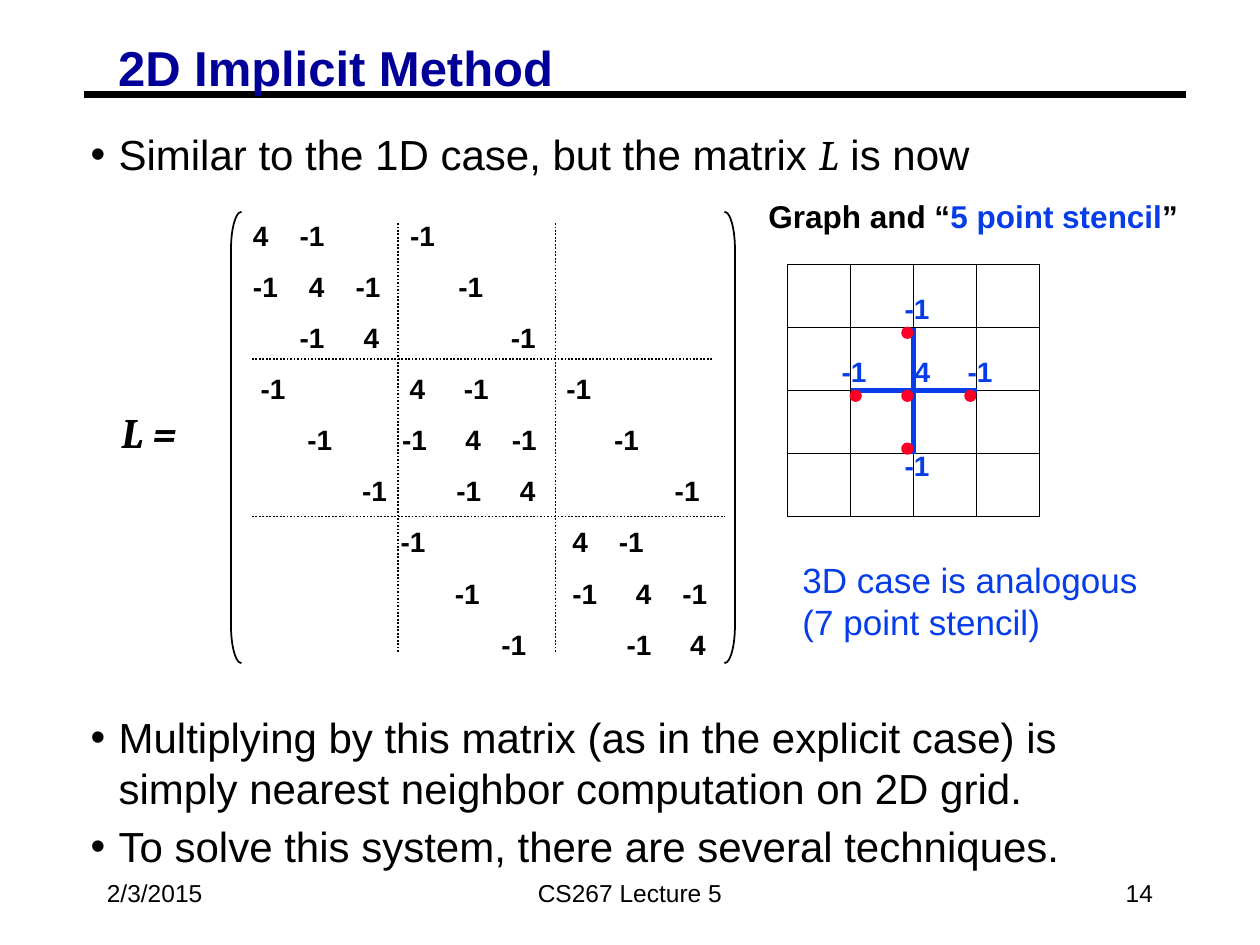
from pptx import Presentation
from pptx.dml.color import RGBColor
from pptx.enum.dml import MSO_LINE
from pptx.enum.shapes import MSO_CONNECTOR, MSO_SHAPE
from pptx.enum.text import MSO_ANCHOR, PP_ALIGN
from pptx.oxml.ns import qn
from pptx.util import Pt
from lxml import etree

rgb = RGBColor.from_string
BLACK, BLUE, NAVY, RED = "000000", "063DE8", "000099", "FC0128"
DOTTED = MSO_LINE.ROUND_DOT
LEFT, CENTER, RIGHT = PP_ALIGN.LEFT, PP_ALIGN.CENTER, PP_ALIGN.RIGHT
TOP, MIDDLE = MSO_ANCHOR.TOP, MSO_ANCHOR.MIDDLE

prs = Presentation()
prs.slide_width, prs.slide_height = Pt(720), Pt(540)
s = prs.slides.add_slide(prs.slide_layouts[6])


def add_text(box, paragraphs, font, color=BLACK, inset=(7.2, 3.6), wrap=True,
             anchor=TOP, gap=0, align=LEFT, spacing=None, bullet=False):
    """Each paragraph is (runs, tab stops); each run is (text, font changes, color or None)."""
    tf = s.shapes.add_textbox(*map(Pt, box)).text_frame
    margins = dict(zip(("margin_left", "margin_top", "margin_right", "margin_bottom"),
                       map(Pt, inset * 2)))
    for name, value in {**margins, "word_wrap": wrap, "vertical_anchor": anchor}.items():
        setattr(tf, name, value)
    for i, (runs, tabs) in enumerate(paragraphs):
        p = tf.paragraphs[0] if i == 0 else tf.add_paragraph()
        ppr = p._p.get_or_add_pPr()
        if bullet:
            ppr.set("marL", str(Pt(16)))
            ppr.set("indent", str(Pt(-16)))
            etree.SubElement(ppr, qn("a:buFont"), typeface="Arial")
            etree.SubElement(ppr, qn("a:buChar"), char="•")
        if tabs:
            tab_list = etree.SubElement(ppr, qn("a:tabLst"))
            for pos in tabs:
                etree.SubElement(tab_list, qn("a:tab"), pos=str(Pt(pos)), algn="l")
        p.alignment = align
        if spacing:
            p.line_spacing = spacing
        if i:
            p.space_before = Pt(gap)
        for text, changes, run_color in runs:
            r = p.add_run()
            r.text = text
            for name, value in {"name": "Arial", **font, **changes}.items():
                setattr(r.font, name, value)
            r.font.color.rgb = rgb(run_color or color)


def add_line(x1, y1, x2, y2, color, width, dash=None):
    line = s.shapes.add_connector(MSO_CONNECTOR.STRAIGHT, *map(Pt, (x1, y1, x2, y2)))
    line.line.color.rgb = rgb(color)
    line.line.width = Pt(width)
    if dash:
        line.line.dash_style = dash
    etree.SubElement(line._element.spPr, qn("a:effectLst"))


# Title, rule and footer
add_line(48, 54, 678, 54, BLACK, 3.75)
footers = [(54, 150, "2/3/2015", LEFT), (246, 228, "CS267 Lecture 5", CENTER),
           (516, 150, "14", RIGHT)]
for x, width, text, align in footers:
    add_text((x, 492, width, 36), [([(text, {}, None)], [])], {"size": Pt(14)},
             anchor=MIDDLE, align=align, wrap=False)
add_text((62.5, 24, 327, 33), [([("2D Implicit Method", {}, None)], [])],
         {"size": Pt(28), "bold": True}, NAVY, inset=(5, 2.2), spacing=0.87)

# Bullets above and below the matrix
intro = [("Similar to the 1D case, but the matrix ", {}, None),
         ("L", {"name": "Cambria", "italic": True}, None), (" is now", {}, None)]
closing = ["Multiplying by this matrix (as in the explicit case) is simply nearest "
           "neighbor computation on 2D grid.",
           "To solve this system, there are several techniques."]
for y, height, paragraphs in [
        (71.3, 33, [(intro, [])]),
        (404.5, 94, [([(text, {}, None)], []) for text in closing])]:
    add_text((46.8, y, 630, height), paragraphs, {"size": Pt(24)},
             inset=(5, 2.2), gap=4.5, bullet=True)

# Matrix: each row lists (offset, entry)
matrix = [
    [(0, "4"), (26.7, "-1"), (89.8, "-1")],
    [(0, "-1"), (32, "4"), (58.7, "-1"), (117.4, "-1")],
    [(26.7, "-1"), (63.2, "4"), (147.4, "-1")],
    [(4.4, "-1"), (89.5, "4"), (120.5, "-1"), (179, "-1")],
    [(31.1, "-1"), (85.2, "-1"), (121.4, "4"), (148, "-1"), (206.4, "-1")],
    [(62.3, "-1"), (116.2, "-1"), (152.5, "4"), (241, "-1")],
    [(84.3, "-1"), (182.5, "4"), (209.1, "-1")],
    [(115.3, "-1"), (182.5, "-1"), (218.8, "4"), (245.4, "-1")],
    [(141.9, "-1"), (213.5, "-1"), (249.8, "4")],
]
rows = []
for row in matrix:
    text = "".join(("\t" if x else "") + entry for x, entry in row)
    rows.append(([(text, {}, None)], [x for x, _ in row if x]))
add_text((137.5, 121.3, 294, 260), rows, {"size": Pt(16), "bold": True}, gap=10)

for x, kind in [(132, MSO_SHAPE.LEFT_BRACKET), (414, MSO_SHAPE.RIGHT_BRACKET)]:
    bracket = s.shapes.add_shape(kind, Pt(x), Pt(121), Pt(6), Pt(258))
    bracket.adjustments[0] = 3.6
    bracket.shadow.inherit = False
    bracket.fill.background()
    bracket.line.color.rgb = rgb(BLACK)
    bracket.line.width = Pt(1)
add_text((62.5, 229, 75, 36), [([("L =", {}, None)], [])],
         {"name": "Cambria", "size": Pt(24), "bold": True, "italic": True})

# Grid: (column, row, size) of the nested squares
CELL, GRID_X, GRID_Y = 36, 450, 151.2
squares = [(0, 0, 4), (0, 2, 2), (2, 0, 2), (0, 3, 1), (1, 2, 1), (0, 1, 1),
           (3, 1, 1), (2, 0, 1), (3, 3, 1), (2, 2, 1), (1, 0, 1)]
for col, row, size in squares:
    square = s.shapes.add_shape(MSO_SHAPE.RECTANGLE, Pt(GRID_X + col * CELL),
                                Pt(GRID_Y + row * CELL), Pt(size * CELL), Pt(size * CELL))
    square.shadow.inherit = False
    square.fill.background()
    square.line.color.rgb = rgb(BLACK)
    square.line.width = Pt(1)

# Five point stencil around the grid centre
cx, cy = GRID_X + 2 * CELL, GRID_Y + 2 * CELL
add_line(cx - CELL, cy, cx + CELL, cy, BLUE, 3)
add_line(cx, cy - CELL, cx, cy + CELL, BLUE, 3)
stencil = [("4", 515.5, 199), ("-1", 509.8, 253), ("-1", 473.8, 199),
           ("-1", 509.8, 163), ("-1", 545.8, 199)]
for text, x, y in stencil:
    add_text((x, y, 40, 26.6), [([(text, {}, None)], [])],
             {"size": Pt(16), "bold": True}, BLUE)
for x, y in [(486, cy), (515.5, 253.4), (515.5, cy), (515.5, cy - CELL), (551.5, cy)]:
    dot = s.shapes.add_shape(MSO_SHAPE.OVAL, Pt(x), Pt(y), Pt(6), Pt(6))
    dot.shadow.inherit = False
    dot.fill.solid()
    dot.fill.fore_color.rgb = dot.line.color.rgb = rgb(RED)
    dot.line.width = Pt(1)

# Block separators of the matrix
for y, right in [(205.2, 407.5), (295.2, 414)]:
    add_line(144, y, right, y, BLACK, 1, DOTTED)
for x in (227.5, 317.5):
    add_line(x, 127.5, x, 373, BLACK, 1, DOTTED)

# Captions
caption = [("Graph and “", {}, None), ("5 point stencil", {}, BLUE), ("”", {}, None)]
add_text((432, 109, 248.4, 29), [(caption, [])], {"size": Pt(18), "bold": True}, wrap=False)
add_text((451.5, 315.4, 224, 55.5),
         [([("3D case is analogous (7 point stencil)", {}, None)], [])], {"size": Pt(20)}, BLUE)

prs.save("out.pptx")
